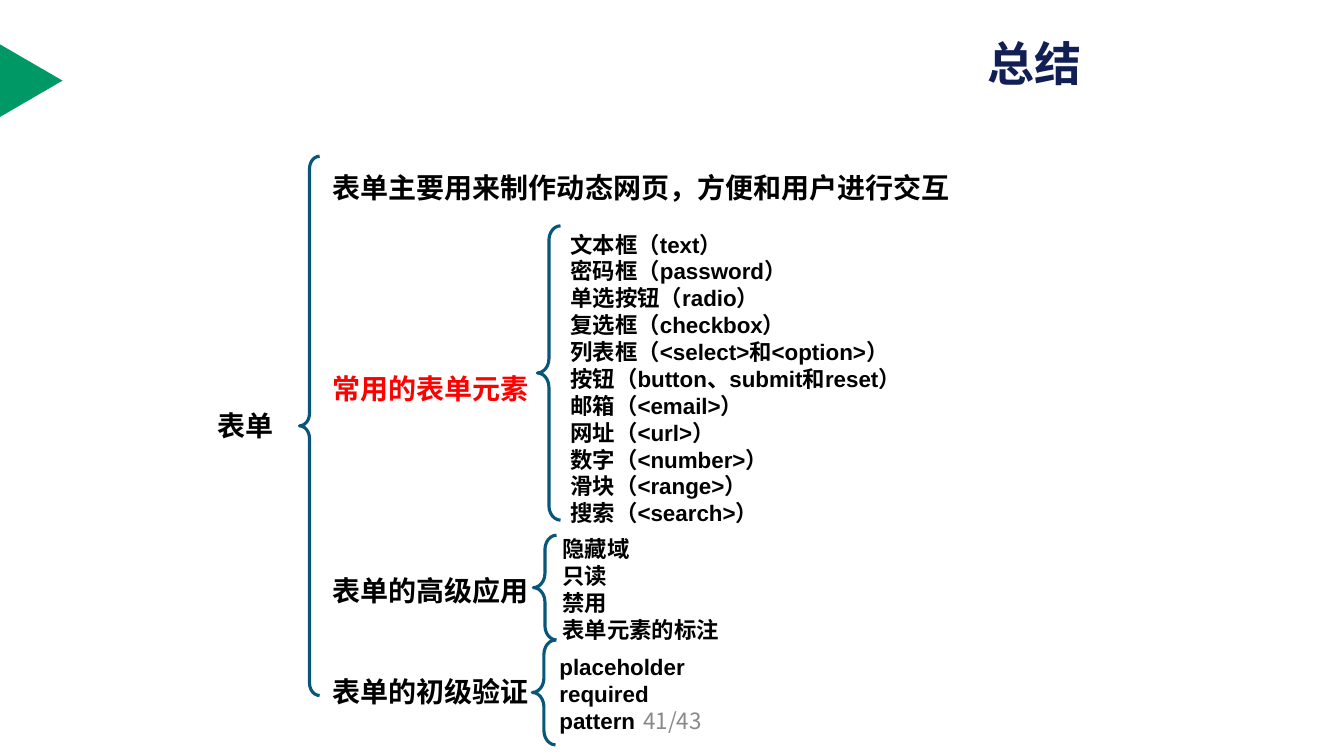
from dataclasses import dataclass

from pptx import Presentation
from pptx import util as u
from pptx.dml.color import RGBColor
from pptx.enum import shapes, text
from pptx.oxml import ns


@dataclass(frozen=True)
class Theme:
    """Colours, fonts and type sizes of the slide."""
    green: str = "009966"
    navy: str = "121F55"
    blue: str = "08577A"
    black: str = "000000"
    red: str = "FF0000"
    grey: str = "898989"
    latin: str = "Arial"
    asian: str = "Noto Sans CJK SC"
    title: float = 33.6
    head: int = 20
    item: int = 16


THEME = Theme()
LEAD = 1.2
ROW = THEME.head * LEAD / 72

TOPICS = [
    ("表单主要用来制作动态网页，方便和用户进行交互", 0, THEME.black),
    ("常用的表单元素", 6, THEME.red),
    ("表单的高级应用", 12, THEME.black),
    ("表单的初级验证", 15, THEME.black),
]
GROUPS = [
    ((5.33, 2.24, 0.23, 2.92), (5.56, 2.24, 4.12, 3.33), [
        "文本框（text）", "密码框（password）", "单选按钮（radio）",
        "复选框（checkbox）", "列表框（<select>和<option>）",
        "按钮（button、submit和reset）", "邮箱（<email>）", "网址（<url>）",
        "数字（<number>）", "滑块（<range>）", "搜索（<search>）"]),
    ((5.29, 5.31, 0.23, 1.04), (5.48, 5.26, 4.12, 1.18),
     ["隐藏域", "只读", "禁用", "表单元素的标注"]),
    ((5.28, 6.35, 0.23, 1.04), (5.45, 6.43, 4.12, 0.91),
     ["placeholder", "required", "pattern"]),
]


def style(para, size, color, name=THEME.latin, bold=True):
    """Format the runs of a paragraph, for Latin and Chinese text alike."""
    for run in para.runs:
        values = {"size": u.Pt(size), "bold": bold, "name": name}
        for key, value in values.items():
            setattr(run.font, key, value)
        run.font.color.rgb = RGBColor.from_string(color)
        face = run.font._element.makeelement(
            ns.qn("a:ea"), {"typeface": THEME.asian})
        run.font._element.find(ns.qn("a:latin")).addnext(face)


def write(slide, box, lines, size, color=THEME.black, align=None):
    """Place bold lines of text in a box at a fixed line pitch."""
    frame = slide.shapes.add_textbox(*map(u.Inches, box)).text_frame
    frame.word_wrap = True
    frame.text = "\n".join(lines)
    for para in frame.paragraphs:
        para.line_spacing = u.Pt(size * LEAD)
        para.alignment = align
        style(para, size, color)


def brace(slide, box):
    """Draw a left brace that fills the box."""
    mark = slide.shapes.add_shape(
        shapes.MSO_SHAPE.LEFT_BRACE, *map(u.Inches, box))
    mark.shadow.inherit = False
    mark.adjustments[0] = 0.62
    mark.fill.background()
    mark.line.color.rgb = RGBColor.from_string(THEME.blue)
    mark.line.width = u.Pt(2.25)


def header(slide, box):
    """Set the title in the box and the green marker at the slide edge."""
    mark = slide.shapes.add_shape(
        shapes.MSO_SHAPE.ISOSCELES_TRIANGLE,
        *map(u.Inches, (-0.05, 0.49, 0.72, 0.62)))
    mark.rotation = 90
    mark.shadow.inherit = False
    mark.fill.solid()
    mark.fill.fore_color.rgb = RGBColor.from_string(THEME.green)
    mark.line.fill.background()
    title = slide.shapes.title
    for key, value in zip(("left", "top", "width", "height"), box):
        setattr(title, key, u.Inches(value))
    frame = title.text_frame
    frame.text = "总结"
    frame.word_wrap = False
    frame.vertical_anchor = text.MSO_ANCHOR.MIDDLE
    frame.paragraphs[0].alignment = text.PP_ALIGN.LEFT
    style(frame.paragraphs[0], THEME.title, THEME.navy, THEME.asian)


def tree(slide, box):
    """Lay out the root, its topics and their items from the box's corner."""
    left, top, width, height = box
    write(slide, (left, top + 2.45, 1.54, 0.44), ["表单"], THEME.head,
          align=text.PP_ALIGN.CENTER)
    brace(slide, (left + 1.3, top, 0.2, height))
    for label, row, color in TOPICS:
        spot = (left + 1.53, top + 0.09 + row * ROW, width - 1.53, 0.44)
        write(slide, spot, [label], THEME.head, color)
    for mark, area, items in GROUPS:
        brace(slide, mark)
        write(slide, area, items, THEME.item)


def footer(slide, box):
    """Centre the page count in the box."""
    frame = slide.shapes.add_textbox(*map(u.Inches, box)).text_frame
    frame.word_wrap = True
    frame.vertical_anchor = text.MSO_ANCHOR.MIDDLE
    frame.text = "41/43"
    frame.paragraphs[0].alignment = text.PP_ALIGN.CENTER
    style(frame.paragraphs[0], THEME.item, THEME.grey, THEME.asian, False)


def main():
    """Build the summary slide and save it."""
    deck = Presentation()
    deck.slide_width, deck.slide_height = u.Inches(13.33), u.Inches(7.5)
    slide = deck.slides.add_slide(deck.slide_layouts[5])
    header(slide, (9.69, 0.3, 1.48, 0.64))
    tree(slide, (1.67, 1.55, 8.75, 5.35))
    footer(slide, (4.56, 6.95, 4.22, 0.4))
    deck.save("out.pptx")


if __name__ == "__main__":
    main()
